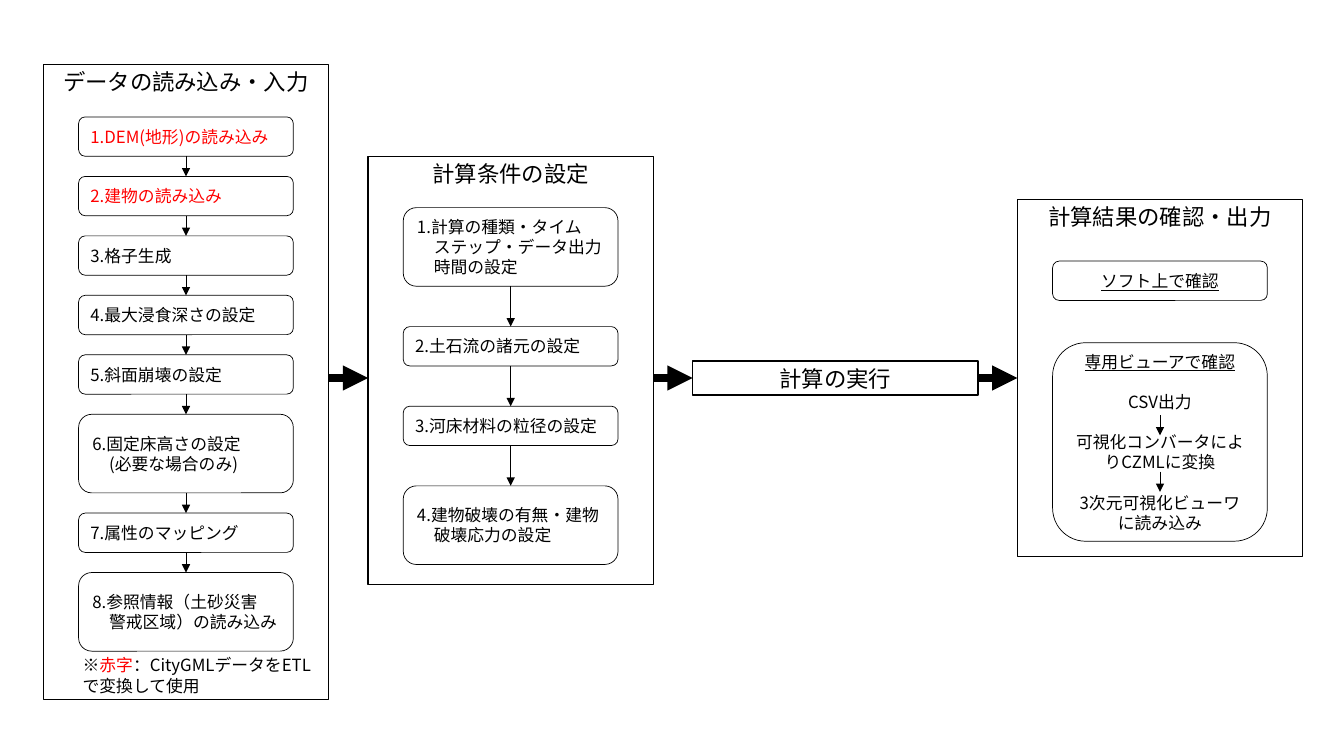
from dataclasses import dataclass

from lxml import etree
from pptx import Presentation
from pptx.dml.color import RGBColor
from pptx.enum.shapes import MSO_CONNECTOR, MSO_SHAPE
from pptx.enum.text import MSO_ANCHOR, PP_ALIGN
from pptx.oxml.ns import qn
from pptx.util import Pt

RECT, ROUND = MSO_SHAPE.RECTANGLE, MSO_SHAPE.ROUNDED_RECTANGLE
STRAIGHT = MSO_CONNECTOR.STRAIGHT
LEFT, CENTER = PP_ALIGN.LEFT, PP_ALIGN.CENTER
TOP, MIDDLE = MSO_ANCHOR.TOP, MSO_ANCHOR.MIDDLE
SITE_TOP, SITE_LEFT, SITE_BOTTOM, SITE_RIGHT = range(4)
EMU_PER_PX = 9144


@dataclass(frozen=True)
class Theme:
    font: str = "Noto Sans CJK JP"
    ink: RGBColor = RGBColor(0, 0, 0)
    accent: RGBColor = RGBColor(255, 0, 0)
    title: int = 16
    body: int = 12
    leading: float = 1.2
    thin: float = 0.5
    border: float = 1
    thick: float = 6


def px(n):
    return round(n * EMU_PER_PX)


class Flow:
    panel_w, step_inset, step_w, step_h = 283, 35, 213, 39

    def __init__(self, prs, theme):
        self.theme = theme
        self.slide = prs.slides.add_slide(prs.slide_layouts[6])

    def run(self, p, text, size, color=None, underline=False):
        r = p.add_run()
        r.text = text
        f = r.font
        f.size, f.name = Pt(size), self.theme.font
        f.color.rgb = color or self.theme.ink
        if underline:
            f.underline = True
        ea = etree.SubElement(r._r.get_or_add_rPr(), qn("a:ea"))
        ea.set("typeface", self.theme.font)

    def paragraph(self, tf, first, size, align=LEFT, before=0, indent=0):
        p = tf.paragraphs[0] if first else tf.add_paragraph()
        p.alignment = align
        p.line_spacing = Pt(size * self.theme.leading)
        p.space_before = Pt(before)
        if indent:
            p._p.get_or_add_pPr().set("marL", str(Pt(indent)))
        return p

    def frame(self, sp, anchor, inset=None):
        tf = sp.text_frame
        tf.word_wrap = True
        tf.vertical_anchor = anchor
        if inset is not None:
            tf.margin_left = tf.margin_right = px(inset)
            tf.margin_top = tf.margin_bottom = px(inset)
        return tf

    def box(self, kind, x, y, w, h, weight):
        sp = self.slide.shapes.add_shape(kind, px(x), px(y), px(w), px(h))
        sp.shadow.inherit = False
        sp.fill.background()
        sp.line.color.rgb = self.theme.ink
        sp.line.width = Pt(weight)
        return sp

    def panel(self, x, y, h, title):
        sp = self.box(RECT, x, y, self.panel_w, h, self.theme.border)
        tf = self.frame(sp, TOP, 4)
        p = self.paragraph(tf, True, self.theme.title, CENTER)
        self.run(p, title, self.theme.title)
        return sp

    def step(self, panel_x, y, h):
        x = panel_x + self.step_inset
        sp = self.box(ROUND, x, y, self.step_w, h, self.theme.thin)
        return sp, self.frame(sp, MIDDLE)

    def steps(self, panel_x, y, gap, items):
        previous = None
        for lines, rows, color in items:
            h = self.step_h * rows
            sp, tf = self.step(panel_x, y, h)
            size = self.theme.body
            for i, line in enumerate(lines):
                p = self.paragraph(tf, i == 0, size, indent=size if i else 0)
                self.run(p, line, size, color)
            if previous is not None:
                x = panel_x + self.step_inset + self.step_w / 2
                self.arrow(x, y - gap, x, y, self.theme.thin,
                           (previous, SITE_BOTTOM), (sp, SITE_TOP))
            previous = sp
            y += h + gap

    def outcome(self, panel_x, y, h, heading, stages=()):
        size = self.theme.body
        tf = self.step(panel_x, y, h)[1]
        self.run(self.paragraph(tf, True, size, CENTER), heading, size, underline=True)
        for stage in stages:
            p = self.paragraph(tf, False, size, CENTER, size * self.theme.leading)
            self.run(p, stage, size)

    def note(self, x, y, w, h, runs):
        sp = self.slide.shapes.add_textbox(px(x), px(y), px(w), px(h))
        tf = self.frame(sp, TOP, 4)
        p = self.paragraph(tf, True, self.theme.body)
        for text, color in runs:
            self.run(p, text, self.theme.body, color)

    def arrow(self, x1, y1, x2, y2, weight, begin=None, end=None):
        c = self.slide.shapes.add_connector(STRAIGHT, px(x1), px(y1), px(x2), px(y2))
        c.line.color.rgb = self.theme.ink
        c.line.width = Pt(weight)
        tail = etree.SubElement(c.line._get_or_add_ln(), qn("a:tailEnd"))
        tail.set("type", "triangle")
        etree.SubElement(c._element.spPr, qn("a:effectLst"))
        if begin:
            c.begin_connect(*begin)
        if end:
            c.end_connect(*end)


def main():
    prs = Presentation()
    prs.slide_width, prs.slide_height = px(1333), px(750)
    theme = Theme()
    s = Flow(prs, theme)

    input_x, setup_x, run_x, result_x = [43 + 322 * i for i in range(4)]
    axis_y = 375

    s.panel(input_x, 64, 630, "データの読み込み・入力")
    s.panel(setup_x, 155, 425, "計算条件の設定")
    execute = s.panel(run_x, axis_y - 17, 34, "計算の実行")
    result = s.panel(result_x, axis_y - 177, 354, "計算結果の確認・出力")

    s.steps(input_x, 116, 20, [
        (["1.DEM(地形)の読み込み"], 1, theme.accent),
        (["2.建物の読み込み"], 1, theme.accent),
        (["3.格子生成"], 1, theme.ink),
        (["4.最大浸食深さの設定"], 1, theme.ink),
        (["5.斜面崩壊の設定"], 1, theme.ink),
        (["6.固定床高さの設定", "(必要な場合のみ)"], 2, theme.ink),
        (["7.属性のマッピング"], 1, theme.ink),
        (["8.参照情報（土砂災害", "警戒区域）の読み込み"], 2, theme.ink),
    ])
    s.note(input_x + s.step_inset, 646, 236, 48, [
        ("※", theme.ink),
        ("赤字", theme.accent),
        ("：CityGMLデータをETLで変換して使用", theme.ink),
    ])

    s.steps(setup_x, 206, 40, [
        (["1.計算の種類・タイム", "ステップ・データ出力", "時間の設定"], 2, theme.ink),
        (["2.土石流の諸元の設定"], 1, theme.ink),
        (["3.河床材料の粒径の設定"], 1, theme.ink),
        (["4.建物破壊の有無・建物", "破壊応力の設定"], 2, theme.ink),
    ])

    s.outcome(result_x, 259, s.step_h, "ソフト上で確認")
    s.outcome(result_x, 340, 197, "専用ビューアで確認", [
        "CSV出力",
        "可視化コンバータによりCZMLに変換",
        "3次元可視化ビューワに読み込み",
    ])
    viewer_x = result_x + s.panel_w / 2
    for y in (412, 468):
        s.arrow(viewer_x, y, viewer_x, y + 20, theme.thin)

    for x, begin, end in (
        (input_x, None, None),
        (setup_x, None, (execute, SITE_LEFT)),
        (run_x, (execute, SITE_RIGHT), (result, SITE_LEFT)),
    ):
        s.arrow(x + s.panel_w, axis_y, x + 322, axis_y, theme.thick, begin, end)

    prs.save("out.pptx")


if __name__ == "__main__":
    main()
